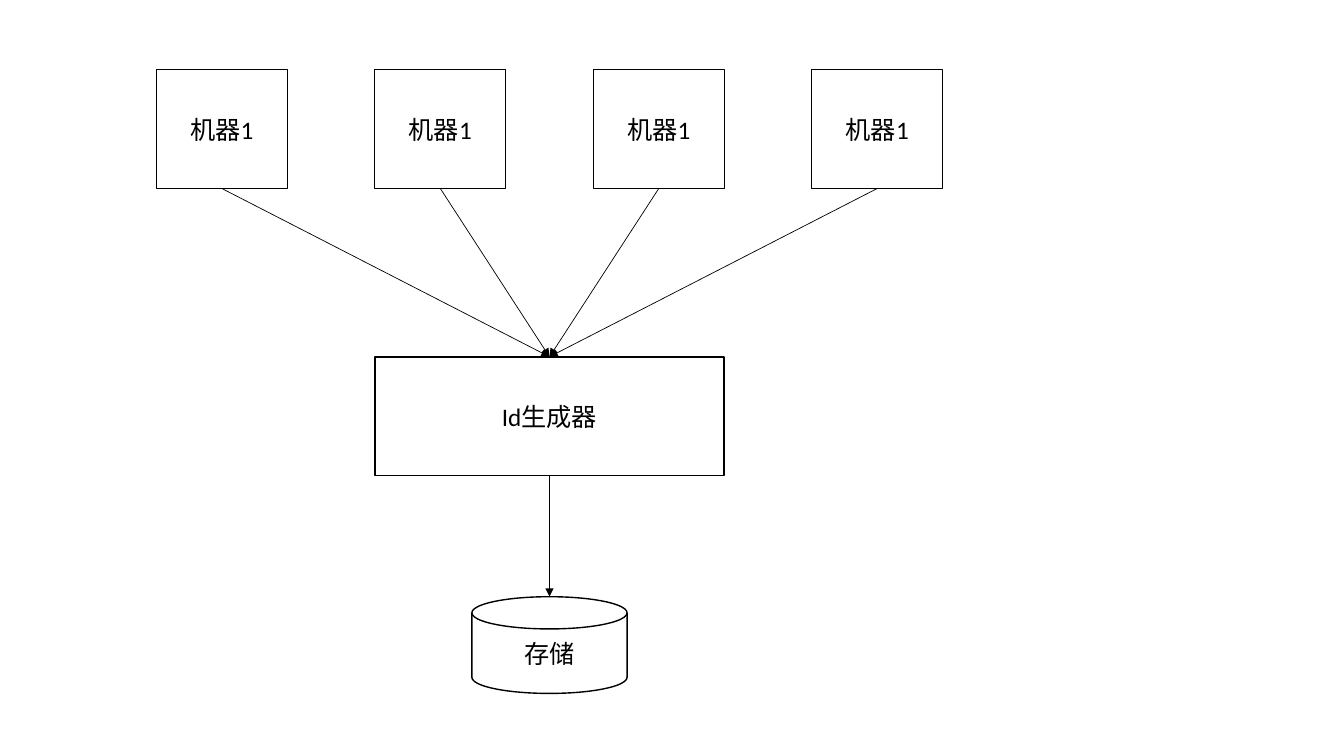
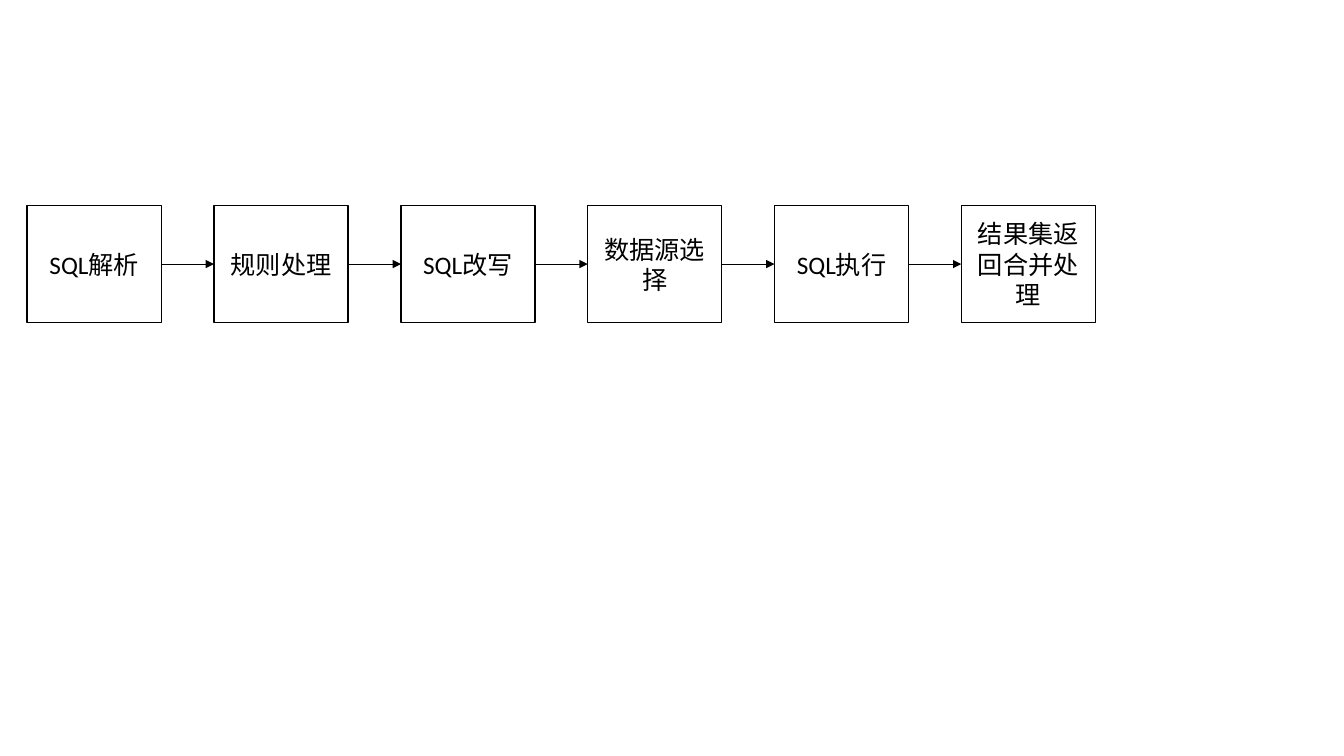
from dataclasses import dataclass
from enum import IntEnum
from itertools import pairwise

from pptx import Presentation
from pptx.dml.color import RGBColor
from pptx.enum.shapes import MSO_CONNECTOR, MSO_SHAPE
from pptx.enum.text import MSO_ANCHOR, PP_ALIGN
from pptx.oxml.ns import qn
from pptx.shapes.autoshape import Shape
from pptx.slide import Slide
from pptx.util import Inches, Pt
from lxml.etree import SubElement


@dataclass(frozen=True)
class Theme:
    """Colours, font and sizes shared by the slides."""
    paper: RGBColor = RGBColor(0xFF, 0xFF, 0xFF)
    ink: RGBColor = RGBColor(0, 0, 0)
    font: str = "Calibri"
    text_size: float = 18
    outline: float = 1
    arrow: float = 0.5


@dataclass(frozen=True)
class Node:
    """One labelled shape of a diagram, in inches."""
    label: str
    left: float
    top: float
    width: float
    height: float
    form: MSO_SHAPE = MSO_SHAPE.RECTANGLE


class Side(IntEnum):
    """Connection sites of a rectangle."""
    TOP = 0
    LEFT = 1
    BOTTOM = 2
    RIGHT = 3


THEME = Theme()


def draw_node(page: Slide, node: Node) -> Shape:
    """Draw an outlined shape with a centred label."""
    box = page.shapes.add_shape(
        node.form, Inches(node.left), Inches(node.top),
        Inches(node.width), Inches(node.height))
    box.shadow.inherit = False
    box.fill.solid()
    box.fill.fore_color.rgb = THEME.paper
    box.line.color.rgb = THEME.ink
    box.line.width = Pt(THEME.outline)
    frame = box.text_frame
    frame.word_wrap = True
    frame.vertical_anchor = MSO_ANCHOR.MIDDLE
    frame.text = node.label
    for para in frame.paragraphs:
        para.alignment = PP_ALIGN.CENTER
        for span in para.runs:
            span.font.name = THEME.font
            span.font.size = Pt(THEME.text_size)
            span.font.color.rgb = THEME.ink
    return box


def side_point(box: Shape, side: Side) -> tuple[int, int]:
    """Return the middle of one side of a shape."""
    middle_x = box.left + box.width // 2
    middle_y = box.top + box.height // 2
    return {
        Side.TOP: (middle_x, box.top),
        Side.LEFT: (box.left, middle_y),
        Side.BOTTOM: (middle_x, box.top + box.height),
        Side.RIGHT: (box.left + box.width, middle_y),
    }[side]


def draw_arrow(page: Slide, start: Shape, leaving: Side,
               end: Shape, entering: Side) -> None:
    """Join two shapes with an arrow, glued where the end is a rectangle."""
    arrow = page.shapes.add_connector(
        MSO_CONNECTOR.STRAIGHT,
        *side_point(start, leaving), *side_point(end, entering))
    arrow.begin_connect(start, leaving)
    if end.auto_shape_type == MSO_SHAPE.RECTANGLE:
        arrow.end_connect(end, entering)
    arrow.line.color.rgb = THEME.ink
    arrow.line.width = Pt(THEME.arrow)
    SubElement(arrow.line._get_or_add_ln(), qn("a:tailEnd"), type="triangle")
    SubElement(arrow._element.spPr, qn("a:effectLst"))


def draw_row(page: Slide, labels: list[str], first: Node,
             pitch: float) -> list[Shape]:
    """Draw equally spaced boxes with the size and place of the first."""
    return [
        draw_node(page, Node(label, first.left + index * pitch, first.top,
                             first.width, first.height))
        for index, label in enumerate(labels)
    ]


def build_id_generator(page: Slide) -> None:
    """Machines asking one id generator, which writes to storage."""
    machine = Node("机器1", 1.55, 0.69, 1.3, 1.18)
    machines = draw_row(page, [machine.label] * 4, machine, 2.167)
    generator = draw_node(page, Node("Id生成器", 3.72, 3.54, 3.46, 1.18))
    storage = draw_node(page, Node("存储", 4.68, 5.92, 1.54, 0.96,
                                   MSO_SHAPE.FLOWCHART_MAGNETIC_DISK))
    for box in machines:
        draw_arrow(page, box, Side.BOTTOM, generator, Side.TOP)
    draw_arrow(page, generator, Side.BOTTOM, storage, Side.TOP)


def build_sql_pipeline(page: Slide) -> None:
    """The steps of an SQL request, from left to right."""
    labels = ["SQL解析", "规则处理", "SQL改写", "数据源选择",
              "SQL执行", "结果集返回合并处理"]
    steps = draw_row(page, labels, Node(labels[0], 0.27, 2.04, 1.33, 1.16),
                     1.853)
    for step, following in pairwise(steps):
        draw_arrow(page, step, Side.RIGHT, following, Side.LEFT)


def main() -> None:
    """Build and save the deck."""
    deck = Presentation()
    deck.slide_width = Inches(13.33)
    deck.slide_height = Inches(7.5)
    blank = deck.slide_layouts[6]
    for build in (build_id_generator, build_sql_pipeline):
        page = deck.slides.add_slide(blank)
        page.background.fill.solid()
        page.background.fill.fore_color.rgb = THEME.paper
        build(page)
    deck.save("out.pptx")


main()
